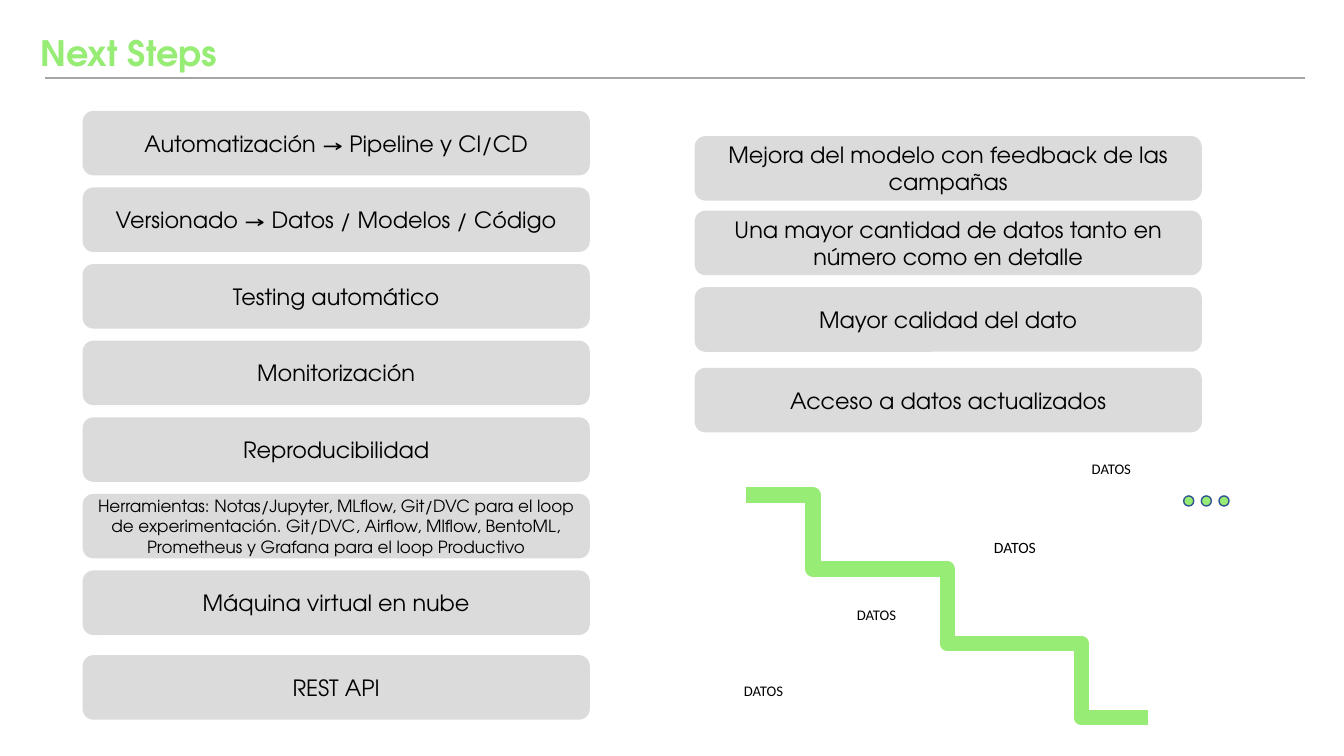
from pptx import Presentation
from pptx.dml.color import RGBColor
from pptx.enum.shapes import MSO_CONNECTOR, MSO_SHAPE
from pptx.enum.text import MSO_ANCHOR, PP_ALIGN
from pptx.oxml.ns import qn
from pptx.util import Inches, Pt
from lxml import etree

STRAIGHT, ELBOW = MSO_CONNECTOR.STRAIGHT, MSO_CONNECTOR.ELBOW
ROUNDED, OVAL = MSO_SHAPE.ROUNDED_RECTANGLE, MSO_SHAPE.OVAL
MIDDLE, TOP = MSO_ANCHOR.MIDDLE, MSO_ANCHOR.TOP
CENTER = PP_ALIGN.CENTER

COLORS = {"green": "96EC74", "rule": "A5A5A5", "card": "DBDBDB",
          "text": "000000", "dot_line": "325491"}
HEADING_FONT, LABEL_FONT = "TeX Gyre Adventor", "Calibri"
CARD_WIDTH, CARD_HEIGHT, CARD_PITCH = 5.03, 0.64, 0.76

# Card texts with their text size
PIPELINE_CARDS = [
    ("Automatización → Pipeline y CI/CD", 16),
    ("Versionado → Datos / Modelos / Código", 16),
    ("Testing automático", 16),
    ("Monitorización", 16),
    ("Reproducibilidad", 16),
    ("Herramientas: Notas/Jupyter, MLflow, Git/DVC para el loop de "
     "experimentación. Git/DVC, Airflow, Mlflow, BentoML, Prometheus y "
     "Grafana para el loop Productivo", 12),
    ("Máquina virtual en nube", 16),
    ("REST API", 16),
]
DATA_CARDS = [
    ("Mejora del modelo con feedback de las campañas", 16),
    ("Una mayor cantidad de datos tanto en número como en detalle", 16),
    ("Mayor calidad del dato", 16),
    ("Acceso a datos actualizados", 16),
]
# Labels by the staircase: left, top, size, line spacing
STAIR_LABELS = [(0, 1.82, 10.5, 0.9), (1.12, 1.07, 10.5, 0.9),
                (2.48, 0.43, 11.2, 0.7), (3.45, -0.38, 10.5, 0.9)]


def color(name):
    return RGBColor.from_string(COLORS[name])


def write(shape, text, size, font, color_name="text", bold=False):
    shape.text_frame.text = text
    paragraph = shape.text_frame.paragraphs[0]
    run_font = paragraph.runs[0].font
    run_font.name, run_font.size, run_font.bold = font, Pt(size), bold
    run_font.color.rgb = color(color_name)
    return paragraph


def add_line(slide, kind, start, end, color_name, width):
    connector = slide.shapes.add_connector(
        kind, *(Inches(value) for value in (*start, *end)))
    connector.line.color.rgb = color(color_name)
    connector.line.width = Pt(width)
    properties = connector._element.spPr
    etree.SubElement(properties, qn("a:effectLst"))


def add_filled(slide, kind, left, top, width, height, color_name):
    shape = slide.shapes.add_shape(
        kind, Inches(left), Inches(top), Inches(width), Inches(height))
    shape.shadow.inherit = False
    shape.fill.solid()
    shape.fill.fore_color.rgb = color(color_name)
    return shape


def add_header(slide, left, top, width):
    box = slide.shapes.add_textbox(
        Inches(left), Inches(top), Inches(10.55), Inches(0.42))
    frame = box.text_frame
    frame.word_wrap = True
    frame.vertical_anchor = MIDDLE
    frame.margin_left = frame.margin_right = 0
    frame.margin_top = frame.margin_bottom = 0
    write(box, "Next Steps", 25, HEADING_FONT, "green", bold=True)
    rule_left, rule_top = left + 0.05, top + 0.46
    add_line(slide, STRAIGHT, (rule_left + width, rule_top),
             (rule_left, rule_top), "rule", 1.5)


def add_cards(slide, left, tops, cards):
    for top, (text, size) in zip(tops, cards):
        card = add_filled(slide, ROUNDED, left, top,
                          CARD_WIDTH, CARD_HEIGHT, "card")
        card.line.fill.background()
        card.text_frame.word_wrap = True
        card.text_frame.vertical_anchor = MIDDLE
        write(card, text, size, HEADING_FONT).alignment = CENTER


def add_staircase(slide, left, top):
    # Descending steps
    step_width, step_height = 1.33, 0.737
    stair_left = left + 0.12
    for step in range(3):
        start = (stair_left + step * step_width, top + step * step_height)
        end = (start[0] + step_width, start[1] + step_height)
        add_line(slide, ELBOW, start, end, "green", 11)

    # Labels
    for offset_x, offset_y, size, spacing in STAIR_LABELS:
        label = slide.shapes.add_textbox(
            Inches(left + offset_x), Inches(top + offset_y),
            Inches(0.66), Inches(0.29))
        label.text_frame.word_wrap = True
        label.text_frame.vertical_anchor = TOP
        write(label, "DATOS", size, LABEL_FONT).line_spacing = spacing

    # Dots to the right
    for index in range(3):
        dot = add_filled(slide, OVAL, left + 4.46 + index * 0.175,
                         top + 0.01, 0.1, 0.1, "green")
        dot.line.color.rgb = color("dot_line")
        dot.line.width = Pt(1)


def main():
    presentation = Presentation()
    presentation.slide_width = Inches(13.33)
    presentation.slide_height = Inches(7.5)
    slide = presentation.slides.add_slide(presentation.slide_layouts[6])

    add_header(slide, 0.4, 0.31, 12.49)
    pipeline_tops = [1.1 + row * CARD_PITCH for row in range(7)] + [6.5]
    add_cards(slide, 0.82, pipeline_tops, PIPELINE_CARDS)
    add_cards(slide, 6.89, [1.35, 2.09, 2.85, 3.65], DATA_CARDS)
    add_staircase(slide, 7.28, 4.91)
    presentation.save("out.pptx")


if __name__ == "__main__":
    main()
